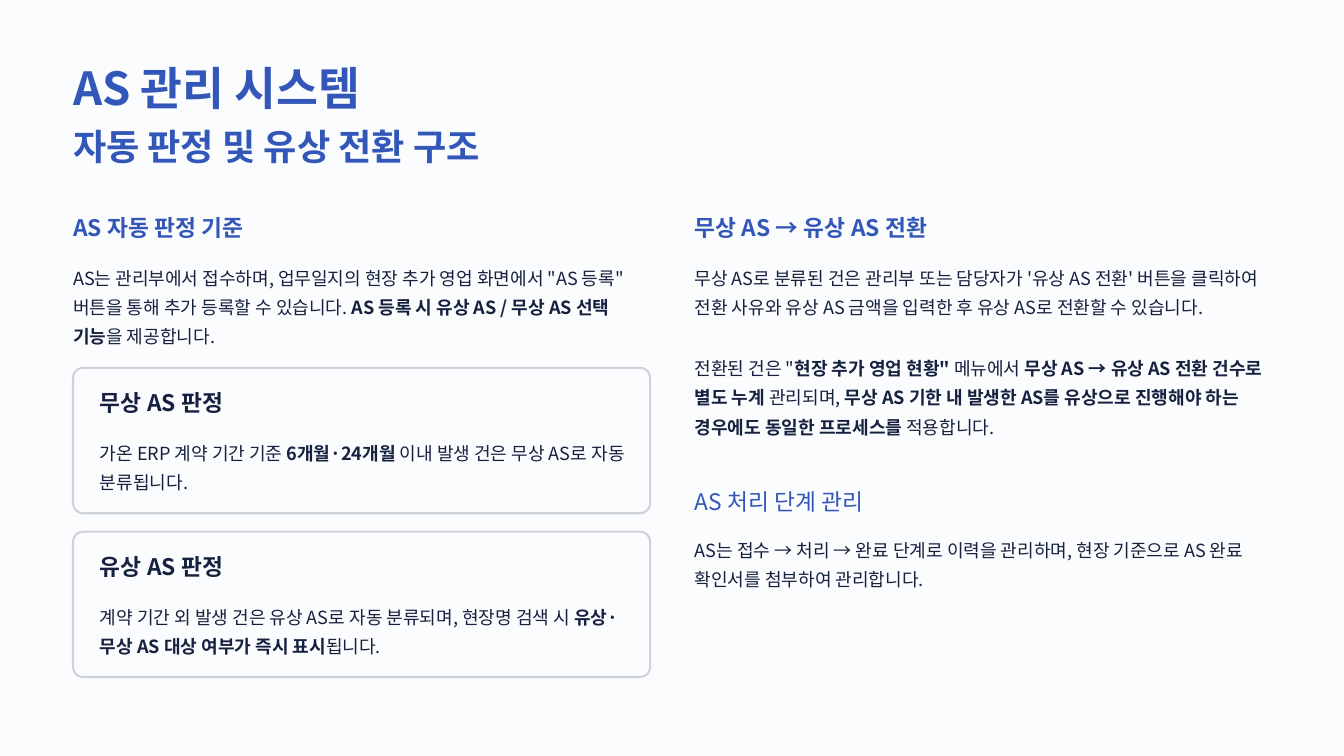
from dataclasses import dataclass
from pptx import Presentation
from pptx.dml.color import RGBColor as RGB
from pptx.enum.shapes import MSO_SHAPE as Shape
from pptx.enum.text import MSO_ANCHOR as Anchor, MSO_AUTO_SIZE as Fit, PP_ALIGN as Align
from pptx.oxml.ns import qn
from pptx.util import Inches, Pt
from lxml.etree import SubElement


@dataclass(frozen=True)
class Theme:
    font: str = "Noto Sans CJK KR"
    blue: RGB = RGB(0x32, 0x57, 0xB8)
    ink: RGB = RGB(0x15, 0x21, 0x3F)
    paper: RGB = RGB(0xFB, 0xFC, 0xFE)
    border: RGB = RGB(0xCF, 0xD2, 0xD8)
    # (type size, line spacing) in points
    title: tuple = (39, 48.5)
    subtitle: tuple = (31, 39)
    heading: tuple = (19.5, 24)
    body: tuple = (15.5, 25)


theme = Theme()
deck = Presentation()
deck.slide_width, deck.slide_height = Inches(16), Inches(9)
slide = deck.slides.add_slide(deck.slide_layouts[5])
slide.background.fill.solid()
slide.background.fill.fore_color.rgb = theme.paper

# Grid: two equal columns, cards inset in the left one
LEFT, RIGHT, COLUMN = 0.87, 8.27, 6.87
INSET, CARD_HEIGHT, CARD_TOP, CARD_STEP = 0.32, 1.73, 4.38, 1.95
HEADING_TOP, BODY_TOP = 2.54, 3.09


def write(box, place, style, color, runs, wrap=False):
    """Place a text box and fill it with (text, bold) runs."""
    box.left, box.top, box.width, box.height = map(Inches, place)
    frame = box.text_frame
    frame.margin_left = frame.margin_right = frame.margin_top = frame.margin_bottom = 0
    frame.auto_size, frame.vertical_anchor = Fit.NONE, Anchor.TOP
    frame.word_wrap = wrap
    paragraph = frame.paragraphs[0]
    paragraph.alignment = Align.LEFT
    size, leading = style
    paragraph.line_spacing = Pt(leading)
    for text, bold in runs:
        run = paragraph.add_run()
        run.text = text
        font = run.font
        font.name, font.size, font.bold = theme.font, Pt(size), bold
        font.color.rgb = color
        SubElement(font._element, qn("a:ea"), typeface=theme.font)


def new_box():
    return slide.shapes.add_textbox(0, 0, 0, 0)


# Title and subtitle
write(slide.shapes.title, (LEFT, 0.69, 5.43, 0.68), theme.title, theme.blue,
      [("AS 관리 시스템", True)])
write(new_box(), (LEFT, 1.45, 4.93, 0.54), theme.subtitle, theme.blue,
      [("자동 판정 및 유상 전환 구조", True)])

# Section headings: left, top, text, bold
headings = [
    (LEFT, HEADING_TOP, "AS 자동 판정 기준", True),
    (RIGHT, HEADING_TOP, "무상 AS → 유상 AS 전환", True),
    (RIGHT, 5.8, "AS 처리 단계 관리", False),
]
for left, top, heading, bold in headings:
    write(new_box(), (left, top, 2.83, 0.34), theme.heading, theme.blue, [(heading, bold)])

# Section texts: left, top, height, runs
sections = [
    (LEFT, BODY_TOP, 1.04, [
        ("AS는 관리부에서 접수하며, 업무일지의 현장 추가 영업 화면에서 \"AS 등록\" 버튼을 통해 "
         "추가 등록할 수 있습니다. ", False),
        ("AS 등록 시 유상 AS / 무상 AS 선택 기능", True),
        ("을 제공합니다.", False)]),
    (RIGHT, BODY_TOP, 1.04, [
        ("무상 AS로 분류된 건은 관리부 또는 담당자가 '유상 AS 전환' 버튼을 클릭하여 전환 사유와 "
         "유상 AS 금액을 입력한 후 유상 AS로 전환할 수 있습니다.", False)]),
    (RIGHT, 4.17, 1.04, [
        ("전환된 건은 \"", False),
        ("현장 추가 영업 현황\" ", True),
        ("메뉴에서 ", False),
        ("무상 AS → 유상 AS 전환 건수로 별도 누계 ", True),
        ("관리되며, ", False),
        ("무상 AS 기한 내 발생한 AS를 유상으로 진행해야 하는 경우에도 동일한 프로세스를 ", True),
        ("적용합니다.", False)]),
    (RIGHT, 6.33, 0.69, [
        ("AS는 접수 → 처리 → 완료 단계로 이력을 관리하며, 현장 기준으로 AS 완료 확인서를 "
         "첨부하여 관리합니다.", False)]),
]
for left, top, height, runs in sections:
    write(new_box(), (left, top, COLUMN, height), theme.body, theme.ink, runs, wrap=True)

# Cards for the two verdicts
verdicts = [
    ("무상 AS 판정", [
        ("가온 ERP 계약 기간 기준 ", False),
        ("6개월·24개월 ", True),
        ("이내 발생 건은 무상 AS로 자동 분류됩니다.", False)]),
    ("유상 AS 판정", [
        ("계약 기간 외 발생 건은 유상 AS로 자동 분류되며, 현장명 검색 시 ", False),
        ("유상·무상 AS 대상 여부가 즉시 표시", True),
        ("됩니다.", False)]),
]
for row, (verdict, runs) in enumerate(verdicts):
    top = CARD_TOP + row * CARD_STEP
    card = slide.shapes.add_shape(Shape.ROUNDED_RECTANGLE, Inches(LEFT), Inches(top),
                                  Inches(COLUMN), Inches(CARD_HEIGHT))
    card.adjustments[0] = 0.07
    card.shadow.inherit = False
    card.fill.solid()
    card.fill.fore_color.rgb = theme.paper
    card.line.color.rgb = theme.border
    card.line.width = Pt(1.8)
    write(new_box(), (LEFT + INSET, top + 0.24, 2.71, 0.34), theme.heading, theme.ink,
          [(verdict, True)])
    write(new_box(), (LEFT + INSET, top + 0.8, 6.31, 0.69), theme.body, theme.ink, runs, wrap=True)

deck.save("out.pptx")
